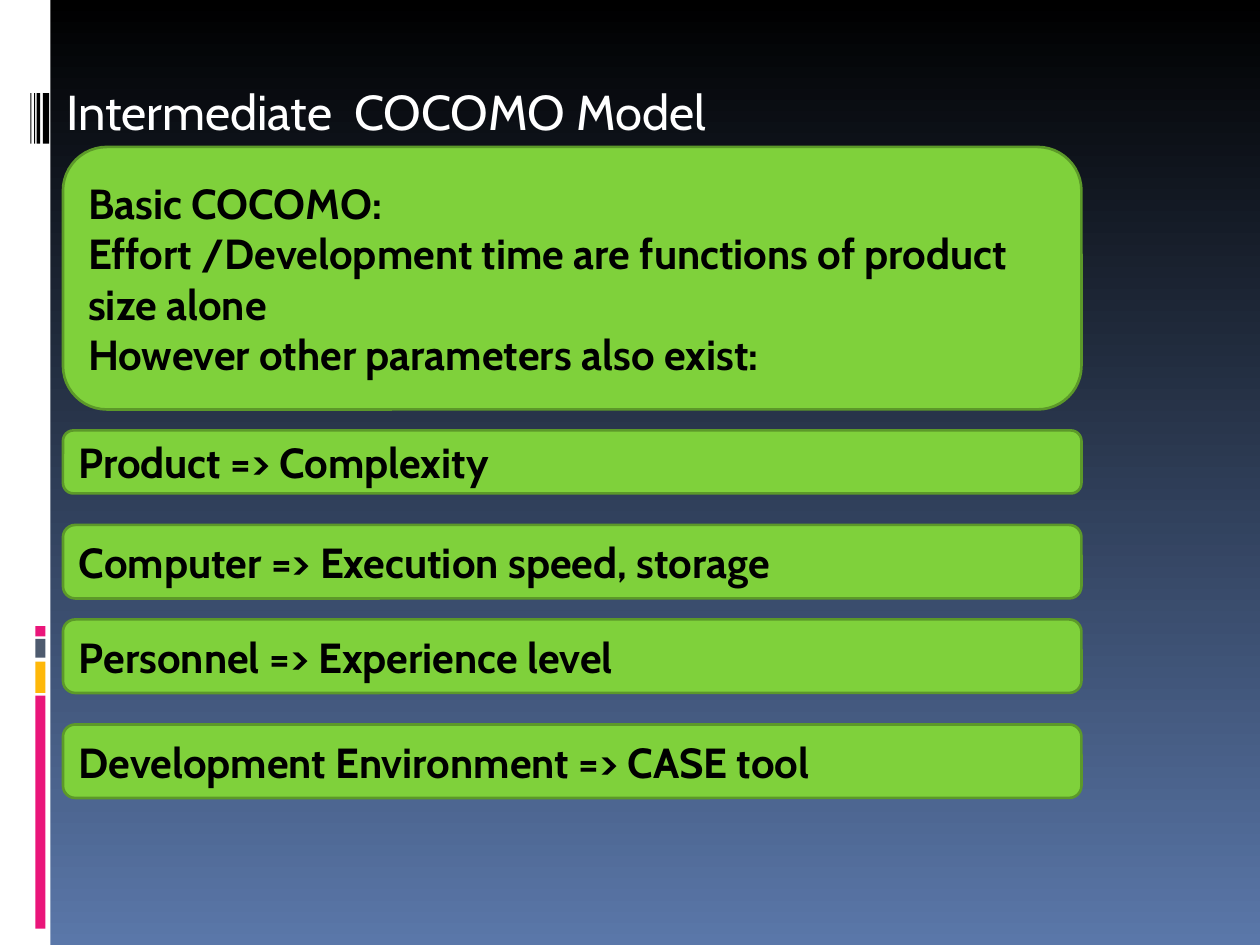
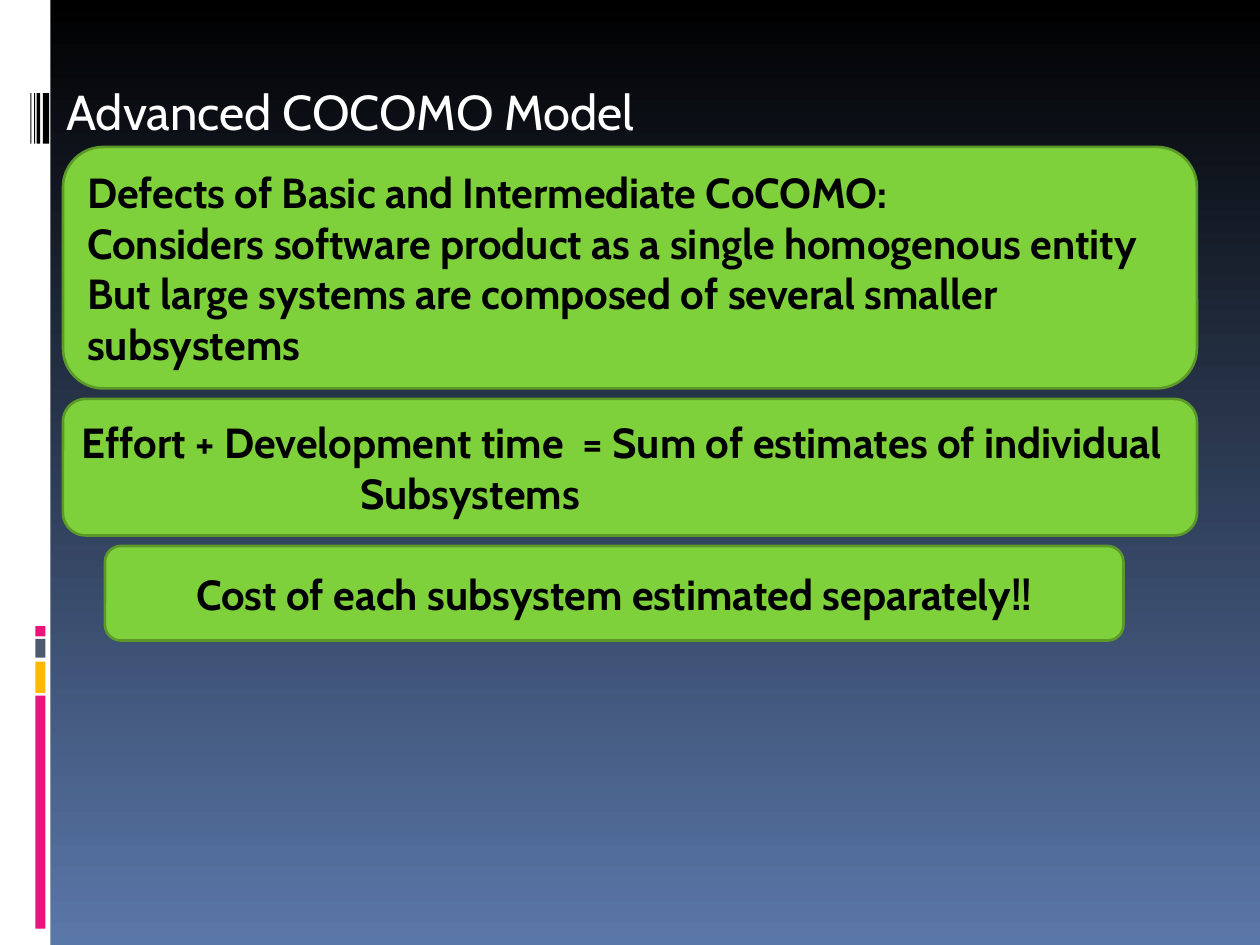
import pptx
import pptx.util
import pptx.dml.color
import pptx.enum.shapes
import pptx.enum.text

RGBColor = pptx.dml.color.RGBColor
Inches = pptx.util.Inches
Pt = pptx.util.Pt
Shape = pptx.enum.shapes.MSO_SHAPE
Align = pptx.enum.text.PP_ALIGN
Anchor = pptx.enum.text.MSO_ANCHOR

BLACK = RGBColor(0x00, 0x00, 0x00)
WHITE = RGBColor(0xFF, 0xFF, 0xFF)
BLUE = RGBColor(0x5A, 0x77, 0xA9)
GREEN = RGBColor(0x7F, 0xD1, 0x3B)
DARK_GREEN = RGBColor(0x5C, 0x99, 0x29)
PINK = RGBColor(0xEA, 0x15, 0x7A)
AMBER = RGBColor(0xFE, 0xB8, 0x0A)
SLATE = RGBColor(0x4E, 0x5B, 0x6F)

FONT = "Cabin"
COLUMNS, ROWS = 120, 90
CARD_LEFT, CARD_TOP, CARD_WIDTH = 6, 14, 97
WIDE_CARD = 108

BARCODE = [(4.08, 0.6), (3.48, 0.36), (3.24, 0.12), (2.88, 0.12)]  # column, width
STRIPES = [(66.24, 22.2, PINK), (63, 3, AMBER),
           (60.84, 1.8, SLATE), (59.64, 0.96, PINK)]  # row, height, colour


def write(frame, lines, size=24, color=BLACK, bold=True, align=Align.LEFT,
          anchor=Anchor.MIDDLE, left_inset=0.1, last_indent=0):
    """Fill a text frame, one paragraph a line; last_indent is in inches."""
    frame.word_wrap = True
    frame.auto_size = pptx.enum.text.MSO_AUTO_SIZE.NONE
    frame.vertical_anchor = anchor
    frame.margin_left, frame.margin_right = Inches(left_inset), Inches(0.1)
    frame.margin_top = frame.margin_bottom = Inches(0.05)
    for index, line in enumerate(lines):
        para = frame.add_paragraph() if index else frame.paragraphs[0]
        para.alignment = align
        span = para.add_run()
        span.text = line
        span.font.name = FONT
        span.font.size = Pt(size)
        span.font.bold = bold
        span.font.color.rgb = color
    if last_indent:
        para._p.get_or_add_pPr().set("marL", str(Inches(last_indent)))


class Deck:
    def __init__(self):
        self.deck = pptx.Presentation()
        self.deck.slide_width, self.deck.slide_height = Inches(10), Inches(7.5)
        self.page = None

    def area(self, column, row, width, height):
        """Turn grid units into slide lengths."""
        cell_width = self.deck.slide_width / COLUMNS
        cell_height = self.deck.slide_height / ROWS
        return (round(column * cell_width), round(row * cell_height),
                round(width * cell_width), round(height * cell_height))

    def new_page(self, title):
        self.page = self.deck.slides.add_slide(self.deck.slide_layouts[5])
        self.background()
        self.side_band()
        box = self.page.shapes.title
        box.left, box.top, box.width, box.height = self.area(5, 0, 102, CARD_TOP)
        write(box.text_frame, [title], size=28, color=WHITE, bold=False,
              anchor=Anchor.BOTTOM, left_inset=0.11)

    def background(self):
        fill = self.page.background.fill
        fill.gradient()
        fill.gradient_angle = 270
        for stop, position, color in zip(fill.gradient_stops, (0, 1), (BLACK, BLUE)):
            stop.position = position
            stop.color.rgb = color

    def side_band(self):
        self.block((0, 0, 4.8, ROWS), WHITE)
        for column, width in BARCODE:
            self.block((column, 8.88, width, 4.8), BLACK)
        for row, height, color in STRIPES:
            self.block((3.36, row, 0.96, height), color)

    def block(self, place, fill, kind=Shape.RECTANGLE, line=None):
        box = self.page.shapes.add_shape(kind, *self.area(*place))
        box.shadow.inherit = False
        box.fill.solid()
        box.fill.fore_color.rgb = fill
        if line is None:
            box.line.fill.background()
        else:
            box.line.color.rgb = line
            box.line.width = Pt(1.5)
        return box

    def card(self, lines, row, height, column=CARD_LEFT, width=CARD_WIDTH, **text_format):
        box = self.block((column, row, width, height), GREEN,
                         Shape.ROUNDED_RECTANGLE, DARK_GREEN)
        write(box.text_frame, lines, **text_format)


def intermediate_model(deck):
    deck.new_page("Intermediate  COCOMO Model")
    deck.card(["Basic COCOMO:",
               "Effort /Development time are functions of product size alone",
               "However other parameters also exist:"], CARD_TOP, 25)
    for parameter, row, height in [
            ("Product => Complexity", 41, 6),
            ("Computer => Execution speed, storage", 50, 7),
            ("Personnel => Experience level", 59, 7),
            ("Development Environment => CASE tool", 69, 7)]:
        deck.card([parameter], row, height)


def advanced_model(deck):
    deck.new_page("Advanced COCOMO Model")
    deck.card(["Defects of Basic and Intermediate CoCOMO:",
               "Considers software product as a single homogenous entity",
               "But large systems are composed of several smaller subsystems"],
              CARD_TOP, 23, width=WIDE_CARD)
    deck.card(["Effort + Development time  = Sum of estimates of individual",
               "Subsystems"], 38, 13, width=WIDE_CARD, last_indent=2.21)
    deck.card(["Cost of each subsystem estimated separately!!"], 52, 9,
              column=10, align=Align.CENTER)


def main():
    deck = Deck()
    intermediate_model(deck)
    advanced_model(deck)
    deck.deck.save("out.pptx")


if __name__ == "__main__":
    main()
